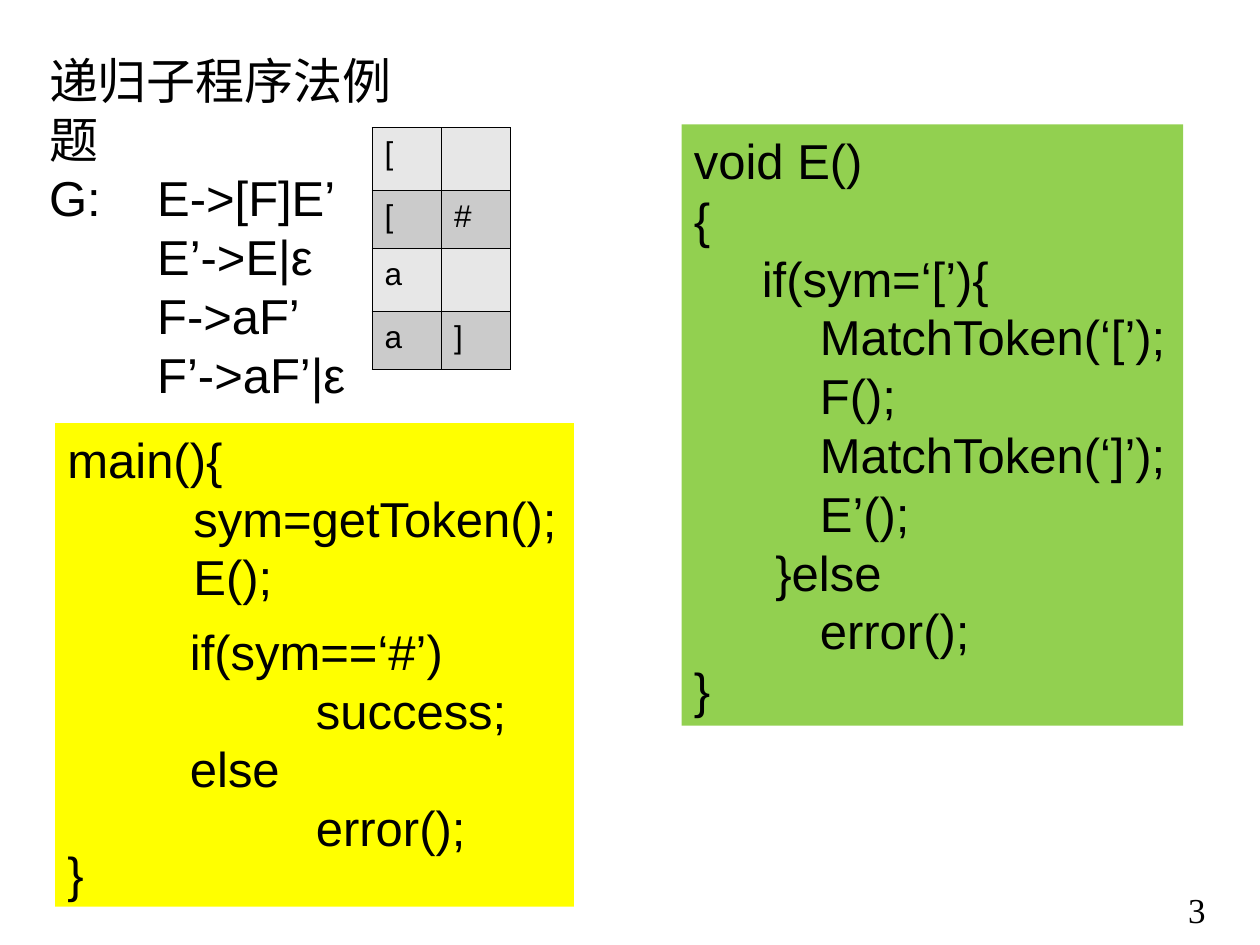
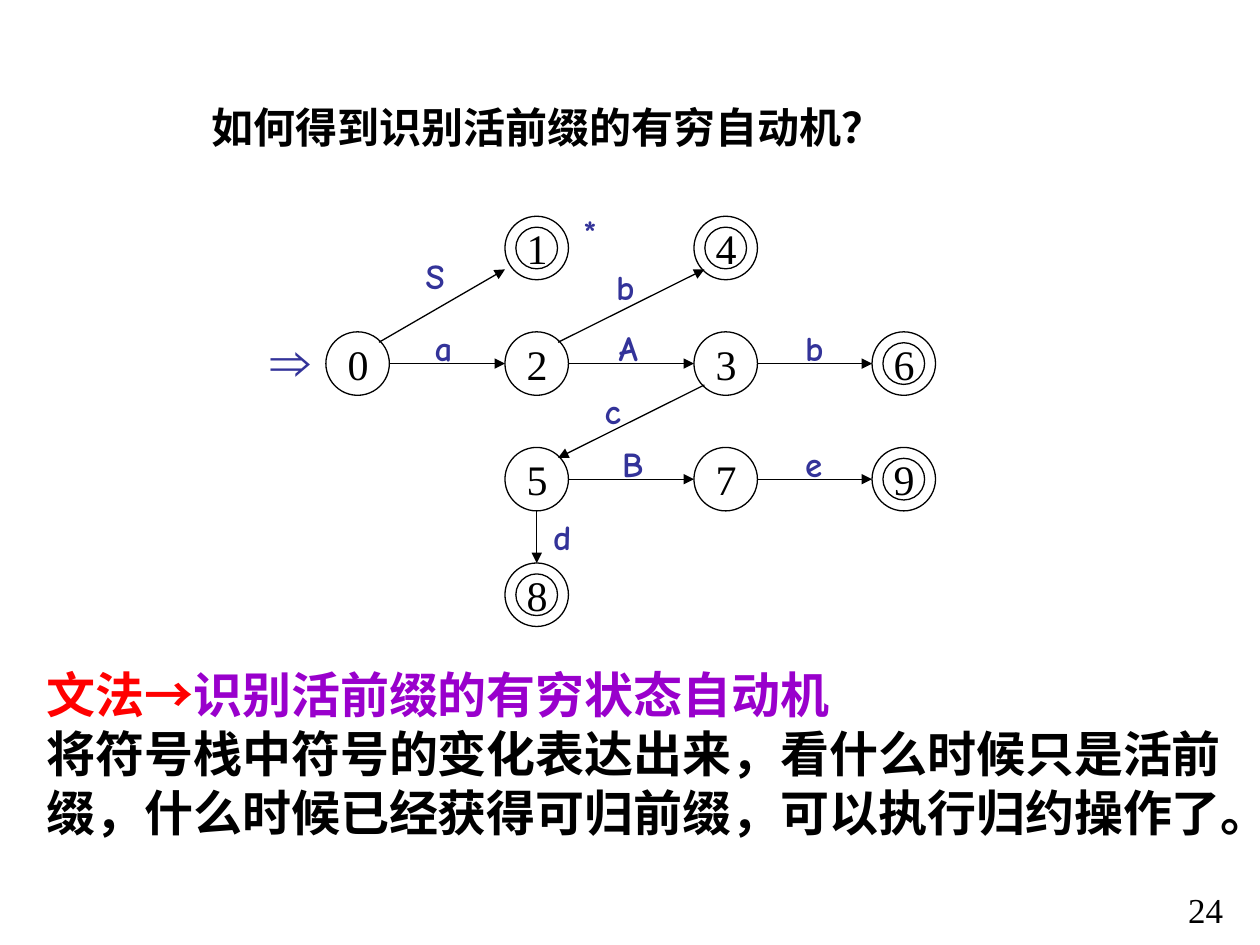
from lxml import etree
from pptx import Presentation
from pptx.dml.color import RGBColor
from pptx.enum.shapes import MSO_CONNECTOR, MSO_SHAPE
from pptx.enum.text import MSO_ANCHOR, PP_ALIGN
from pptx.oxml.ns import qn
from pptx.util import Cm, Pt

LINE = MSO_CONNECTOR.STRAIGHT
OVAL, RECT = MSO_SHAPE.OVAL, MSO_SHAPE.RECTANGLE
MID, MID_X = MSO_ANCHOR.MIDDLE, PP_ALIGN.CENTER

BLACK = RGBColor(0, 0, 0)
YELLOW = RGBColor(0xFF, 0xFF, 0)
GREEN = RGBColor(0x92, 0xD0, 0x50)
NAVY = RGBColor(0x33, 0x33, 0x99)
RED = RGBColor(0xFF, 0, 0)
PURPLE = RGBColor(0x99, 0, 0xCC)
BANDS = RGBColor(0xE7, 0xE7, 0xE7), RGBColor(0xCB, 0xCB, 0xCB)
SANS, SERIF, COMIC = "Arial", "Times New Roman", "Comic Neue"

# Slide 1: all places and sizes are in centimetres
GRAMMAR = ["递归子程序法例题", "G:\tE->[F]E’", "\tE’->E|ε", "\tF->aF’", "\tF’->aF’|ε"]
FIRST = [("[", ""), ("[", "#"), ("a", ""), ("a", "]")]
ROWS = [1.27, 1.17, 1.27, 1.17]
MAIN = ["main(){", "\tsym=getToken();", "\tE();", "}"]
CHECK = ["if(sym==‘#’)", "\tsuccess;", "else", "\terror();"]
PROC = ["void E()", "{", "     if(sym=‘[’){", "\tMatchToken(‘[’);", "\tF();",
        "\tMatchToken(‘]’);", "\tE’();", "      }else", "\terror();", "}"]

# Slide 2
TITLE = "如何得到识别活前缀的有穷自动机？"
NOTE = [
    [("文法", SERIF, RED), ("→", SANS, RED), ("识别活前缀的有穷状态自动机", SERIF, PURPLE)],
    [("将符号栈中符号的变化表达出来，看什么时候只是活前缀，"
      "什么时候已经获得可归前缀，可以执行归约操作了。", SERIF, BLACK)],
]
COLS = [7.21, 10.82, 14.63, 18.22]
TOP, STEP = 5.0, 2.33
STATES = {"0": (0, 1), "1": (1, 0), "2": (1, 1), "3": (2, 1), "4": (2, 0),
          "5": (1, 2), "6": (3, 1), "7": (2, 2), "8": (1, 3), "9": (3, 2)}
FINAL = "14689"
EDGES = [("0", "2"), ("2", "3"), ("3", "6"), ("5", "7"), ("7", "9"),
         ("0", "1"), ("2", "4"), ("3", "5"), ("5", "8")]
MARKS = [("S", 8.33, 5.0), ("a", 8.51, 6.45), ("b", 12.17, 5.23), ("A", 12.22, 6.45),
         ("b", 15.98, 6.45), ("c", 11.94, 7.72), ("B", 12.29, 8.79), ("e", 15.98, 8.79),
         ("d", 10.9, 10.26), ("*", 11.51, 4.11)]
RAD, RING, SLANT = 0.64, 0.42, 0.43


def style(par, text, size, font=SANS, color=BLACK, bold=False):
    """Add one run and set the line pitch that suits its size."""
    run = par.add_run()
    run.text = text
    run.font.size, run.font.name, run.font.bold = Pt(size), font, bold
    run.font.color.rgb = color
    par.line_spacing = Pt(size * 1.2)


def box(slide, x, y, w, h, fill=None):
    if fill is None:
        shape = slide.shapes.add_textbox(Cm(x), Cm(y), Cm(w), Cm(h))
    else:
        shape = slide.shapes.add_shape(RECT, Cm(x), Cm(y), Cm(w), Cm(h))
        shape.shadow.inherit = False
        shape.fill.solid()
        shape.fill.fore_color.rgb = fill
        shape.line.fill.background()
    frame = shape.text_frame
    frame.word_wrap = True
    frame.vertical_anchor = MSO_ANCHOR.TOP
    return frame


def lines(frame, rows):
    """Yield one left-aligned paragraph with each row."""
    for i, row in enumerate(rows):
        par = frame.add_paragraph() if i else frame.paragraphs[0]
        par.alignment = PP_ALIGN.LEFT
        yield par, row


def label(slide, text, x, y, w, h, size, font, color=BLACK, bold=False):
    style(box(slide, x, y, w, h).paragraphs[0], text, size, font, color, bold)


def code(slide, rows, x, y, w, h, fill=None, stop=2.54):
    frame = box(slide, x, y, w, h, fill)
    for par, row in lines(frame, rows):
        tabs = etree.SubElement(par._p.get_or_add_pPr(), qn("a:tabLst"))
        etree.SubElement(tabs, qn("a:tab"), pos=str(Cm(stop)), algn="l")
        style(par, row, 28)
    return frame


def grid(slide, x, y):
    table = slide.shapes.add_table(4, 2, Cm(x), Cm(y), Cm(2.8), Cm(sum(ROWS))).table
    for col in table.columns:
        col.width = Cm(1.4)
    for r, row in enumerate(FIRST):
        table.rows[r].height = Cm(ROWS[r])
        for c, text in enumerate(row):
            cell = table.cell(r, c)
            if text:
                style(cell.text_frame.paragraphs[0], text, 18)
            props = cell._tc.get_or_add_tcPr()
            for side in ("a:lnL", "a:lnR", "a:lnT", "a:lnB"):
                edge = etree.SubElement(props, qn(side), w=str(Pt(0.45)))
                ink = etree.SubElement(edge, qn("a:solidFill"))
                etree.SubElement(ink, qn("a:srgbClr"), val=str(BLACK))
            cell.fill.solid()
            cell.fill.fore_color.rgb = BANDS[r % 2]


def spot(name):
    col, row = STATES[name]
    return COLS[col], TOP + row * STEP


def ring(slide, x, y, rad):
    shape = slide.shapes.add_shape(OVAL, Cm(x - rad), Cm(y - rad), Cm(2 * rad), Cm(2 * rad))
    shape.shadow.inherit = False
    shape.fill.background()
    shape.line.color.rgb, shape.line.width = BLACK, Pt(0.75)
    return shape


def state(slide, name):
    x, y = spot(name)
    frame = ring(slide, x, y, RAD).text_frame
    frame.word_wrap, frame.vertical_anchor = True, MID
    frame.paragraphs[0].alignment = MID_X
    style(frame.paragraphs[0], name, 24, SERIF)
    if name in FINAL:
        ring(slide, x, y, RING)


def arrow(slide, start, end):
    (x1, y1), (x2, y2) = spot(start), spot(end)
    dx, dy = (x2 > x1) - (x2 < x1), (y2 > y1) - (y2 < y1)
    gap = SLANT if dx and dy else RAD
    tip = RAD if end == "1" else gap
    link = slide.shapes.add_connector(LINE, Cm(x1 + dx * gap), Cm(y1 + dy * gap),
                                      Cm(x2 - dx * tip), Cm(y2 - dy * gap))
    link.line.color.rgb, link.line.width = BLACK, Pt(0.75)
    etree.SubElement(link.line._get_or_add_ln(), qn("a:tailEnd"), type="triangle")
    etree.SubElement(link._element.spPr, qn("a:effectLst"))


def page(deck, number):
    slide = deck.slides.add_slide(deck.slide_layouts[6])
    label(slide, number, 23.7, 17.78, 1.7, 1.12, 20, SERIF)
    return slide


def parser(deck):
    slide = page(deck, "3")
    code(slide, GRAMMAR, 0.74, 0.89, 8.38, 7.37, stop=2.18)
    body = code(slide, MAIN, 1.11, 8.53, 10.46, 9.75, YELLOW)
    body.paragraphs[-1].space_before = Pt(136)
    grid(slide, 7.5, 2.57)
    code(slide, CHECK, 3.58, 12.4, 6.88, 6.2)
    code(slide, PROC, 13.74, 2.51, 10.11, 12.12, GREEN)


def automaton(deck):
    slide = page(deck, "24")
    for name in STATES:
        state(slide, name)
    for start, end in EDGES:
        arrow(slide, start, end)
    for text, x, y in MARKS:
        label(slide, text, x, y, 1.1, 1.12, 20, COMIC, NAVY, True)
    label(slide, "⇒", 5.21, 6.43, 1.6, 1.63, 32, SANS, NAVY, True)
    label(slide, TITLE, 4.01, 1.93, 14.4, 1.27, 24, SERIF, bold=True)
    frame = box(slide, 0.69, 13.28, 24.61, 3.81)
    for par, row in lines(frame, NOTE):
        for text, font, color in row:
            style(par, text, 28, font, color, True)


def main():
    deck = Presentation()
    deck.slide_width, deck.slide_height = Cm(25.4), Cm(19.05)
    parser(deck)
    automaton(deck)
    deck.save("out.pptx")


if __name__ == "__main__":
    main()
